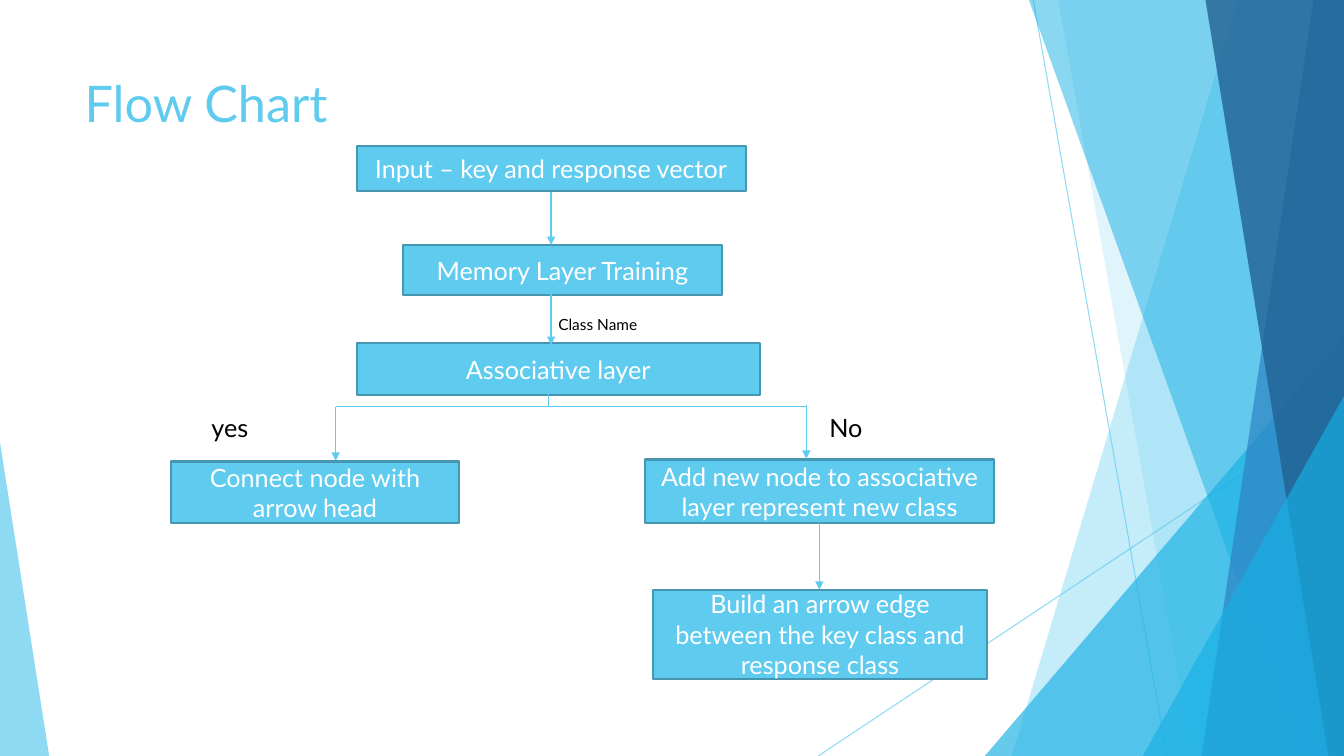
from lxml import etree
from pptx import Presentation
from pptx.dml.color import RGBColor
from pptx.enum import shapes, text
from pptx.oxml import ns
from pptx.util import Cm, Pt

SKY = RGBColor(0x5F, 0xCB, 0xEF)
CYAN = RGBColor(0x17, 0xB0, 0xE4)
BLUE = RGBColor(0x2E, 0x83, 0xC3)
NAVY = RGBColor(0x22, 0x62, 0x92)
BORDER = RGBColor(0x46, 0x96, 0xB1)
WHITE = RGBColor(0xFF, 0xFF, 0xFF)
BLACK = RGBColor(0, 0, 0)
FONT = "Lato"
WIDTH, HEIGHT = 33.87, 19.05

deck = Presentation()
deck.slide_width, deck.slide_height = Cm(WIDTH), Cm(HEIGHT)
slide = deck.slides.add_slide(deck.slide_layouts[5])
canvas = slide.shapes


def paint_shard(shard, color, opacity):
    """Fill a background shard with a translucent colour and no outline."""
    shard.shadow.inherit = False
    shard.fill.solid()
    shard.fill.fore_color.rgb = color
    shard.line.fill.background()
    tint = shard._element.spPr.find(".//" + ns.qn("a:srgbClr"))
    etree.SubElement(tint, ns.qn("a:alpha"), val=str(opacity * 1000))


def draw_line(start, end, weight, arrow=False, opacity=100):
    """Draw a straight sky-blue line, optionally with an arrowhead."""
    line = canvas.add_connector(shapes.MSO_CONNECTOR.STRAIGHT,
                                *map(Cm, start + end))
    line.line.color.rgb = SKY
    line.line.width = Pt(weight)
    properties = line._element.spPr
    if opacity < 100:
        tint = properties.find(".//" + ns.qn("a:srgbClr"))
        etree.SubElement(tint, ns.qn("a:alpha"), val=str(opacity * 1000))
    if arrow:
        etree.SubElement(properties.find(ns.qn("a:ln")), ns.qn("a:tailEnd"),
                         type="triangle")
    etree.SubElement(properties, ns.qn("a:effectLst"))


# Background: two thin lines, then shards that all reach the right edge
draw_line((26.04, 0), (29.41, HEIGHT), 0.75, opacity=70)
draw_line((WIDTH, 10.24), (20.62, HEIGHT), 0.75, opacity=70)

# top x, bottom x, top y, colour, opacity; a top x at the edge is a triangle
for top_x, bottom_x, top_y, color, opacity in [
    (31.19, 25.5, 0, SKY, 36),
    (26.67, 30.05, 0, SKY, 20),
    (WIDTH, 24.82, 8.46, CYAN, 66),
    (25.93, 32.79, 0, CYAN, 50),
    (33.1, 30.28, 0, BLUE, 70),
    (30.38, 33.48, 0, NAVY, 80),
    (WIDTH, 28.8, 9.98, CYAN, 66),
]:
    if top_x == WIDTH:
        shard = canvas.add_shape(
            shapes.MSO_SHAPE.ISOSCELES_TRIANGLE, Cm(bottom_x), Cm(top_y),
            Cm(WIDTH - bottom_x), Cm(HEIGHT - top_y))
        shard.adjustments[0] = 1
    else:
        outline = canvas.build_freeform(Cm(top_x), Cm(top_y))
        outline.add_line_segments([(Cm(WIDTH), Cm(top_y)),
                                   (Cm(WIDTH), Cm(HEIGHT)),
                                   (Cm(bottom_x), Cm(HEIGHT))])
        shard = outline.convert_to_shape()
    paint_shard(shard, color, opacity)

left_shard = canvas.add_shape(shapes.MSO_SHAPE.ISOSCELES_TRIANGLE,
                              0, Cm(11.15), Cm(1.24), Cm(HEIGHT - 11.15))
left_shard.adjustments[0] = 0
paint_shard(left_shard, SKY, 70)

# Title
title = canvas.title
title.left, title.top, title.width, title.height = map(
    Cm, (1.88, 1.7, 23.88, 3.66))
title.text_frame.vertical_anchor = text.MSO_ANCHOR.TOP
heading = title.text_frame.paragraphs[0]
heading.alignment = text.PP_ALIGN.LEFT
heading_run = heading.add_run()
heading_run.text = "Flow Chart"
heading_run.font.name = FONT
heading_run.font.size = Pt(36)
heading_run.font.color.rgb = SKY

# Process steps
for wording, left, top, width, height in [
    ("Input – key and response vector", 8.99, 3.68, 9.8, 1.14),
    ("Memory Layer Training", 10.16, 6.17, 8.03, 1.27),
    ("Associative layer", 8.99, 8.64, 10.16, 1.32),
    ("Connect node with arrow head", 4.32, 11.63, 7.24, 1.55),
    ("Add new node to associative layer represent new class",
     16.26, 11.58, 8.79, 1.6),
    ("Build an arrow edge between the key class and response class",
     16.46, 14.86, 8.41, 2.24),
]:
    step = canvas.add_shape(shapes.MSO_SHAPE.FLOWCHART_PROCESS,
                            Cm(left), Cm(top), Cm(width), Cm(height))
    step.shadow.inherit = False
    step.fill.solid()
    step.fill.fore_color.rgb = SKY
    step.line.color.rgb = BORDER
    step.line.width = Pt(1.5)
    step.text_frame.word_wrap = True
    step.text_frame.vertical_anchor = text.MSO_ANCHOR.MIDDLE
    paragraph = step.text_frame.paragraphs[0]
    paragraph.alignment = text.PP_ALIGN.CENTER
    run = paragraph.add_run()
    run.text = wording
    run.font.name = FONT
    run.font.size = Pt(18)
    run.font.color.rgb = WHITE

# Arrows between steps: x, start y, end y
for x, start_y, end_y in [
    (13.89, 4.83, 6.17),
    (13.89, 7.34, 8.69),
    (8.46, 10.26, 11.61),
    (20.32, 10.21, 11.56),
    (20.65, 13.18, 14.86),
]:
    draw_line((x, start_y), (x, end_y), 1, arrow=True)

# Yes/no branch
draw_line((8.46, 10.24), (20.32, 10.24), 1)
draw_line((13.82, 9.91), (13.82, 10.26), 1)

# Labels beside the arrows
for wording, left, top, width, height, size in [
    ("Class Name", 13.82, 7.82, 7.14, 0.74, 11),
    ("yes", 5.08, 10.26, 2.84, 1.02, 18),
    ("No", 20.65, 10.26, 3.38, 1.02, 18),
]:
    label = canvas.add_textbox(Cm(left), Cm(top), Cm(width), Cm(height))
    label.text_frame.word_wrap = True
    run = label.text_frame.paragraphs[0].add_run()
    run.text = wording
    run.font.name = FONT
    run.font.size = Pt(size)
    run.font.color.rgb = BLACK

deck.save("out.pptx")
